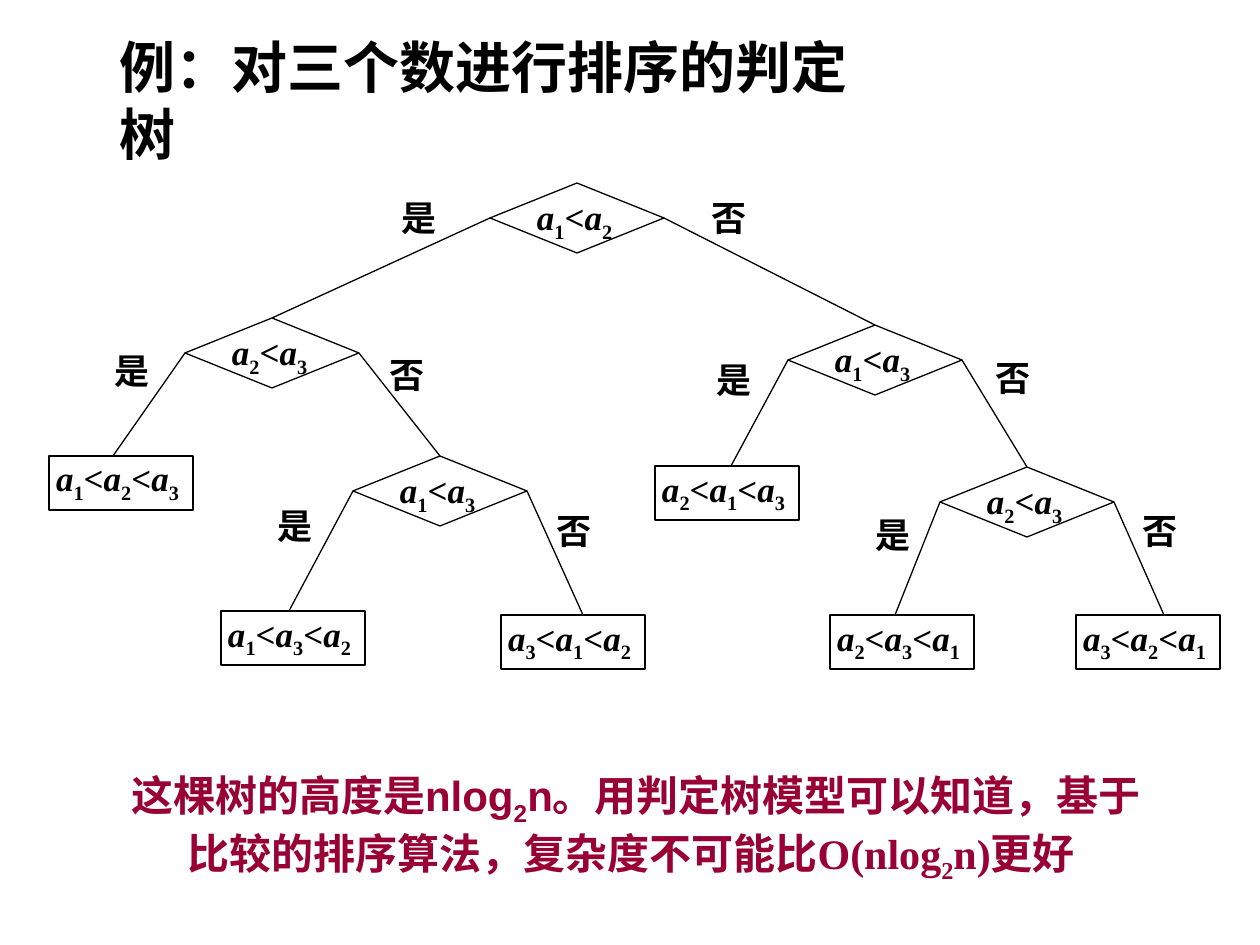
from pptx import Presentation
from pptx.dml.color import RGBColor
from pptx.enum.shapes import MSO_CONNECTOR, MSO_SHAPE
from pptx.enum.text import MSO_ANCHOR, MSO_AUTO_SIZE, PP_ALIGN
from pptx.oxml.ns import qn
from pptx.util import Emu, Pt
from lxml import etree

BLACK = RGBColor(0x00, 0x00, 0x00)
WINE = RGBColor(0x99, 0x00, 0x33)
SERIF, SANS = "Times New Roman", "Arial"
RECT, DIAMOND = MSO_SHAPE.RECTANGLE, MSO_SHAPE.DIAMOND
LINE = MSO_CONNECTOR.STRAIGHT
TOP = MSO_ANCHOR.TOP
GROW, FIXED = MSO_AUTO_SIZE.SHAPE_TO_FIT_TEXT, MSO_AUTO_SIZE.NONE
LEFT, CENTER, JUST = PP_ALIGN.LEFT, PP_ALIGN.CENTER, PP_ALIGN.JUSTIFY
SCALE = 914400 / 126
SIDE = {"是": 1, "否": 3}

# Decision nodes: name -> (left, top, test)
TESTS = {
    "root": (490, 183, "a1<a2"),
    "yes": (185, 318, "a2<a3"),
    "no": (788, 325, "a1<a3"),
    "yes no": (353, 456, "a1<a3"),
    "no no": (940, 467, "a2<a3"),
}

# Result boxes: name -> (left, top, order)
LEAVES = {
    "yes yes": (49, 456, "a1<a2<a3"),
    "no yes": (655, 466, "a2<a1<a3"),
    "yes no yes": (221, 611, "a1<a3<a2"),
    "yes no no": (501, 615, "a3<a1<a2"),
    "no no yes": (830, 615, "a2<a3<a1"),
    "no no no": (1076, 615, "a3<a2<a1"),
}

# Branches: parent, answer, answer position, child, x where it meets a result box
EDGES = [
    ("root", "是", (401, 205), "yes", None),
    ("root", "否", (712, 205), "no", None),
    ("yes", "是", (115, 358), "yes yes", 113),
    ("yes", "否", (389, 362), "yes no", None),
    ("no", "是", (716, 367), "no yes", 731),
    ("no", "否", (995, 365), "no no", None),
    ("yes no", "是", (278, 513), "yes no yes", 289),
    ("yes no", "否", (557, 518), "yes no no", 583),
    ("no no", "是", (876, 522), "no no yes", 895),
    ("no no", "否", (1143, 518), "no no no", 1164),
]


def px(n):
    return Emu(round(n * SCALE))


def write(frame, runs, size=20, font=SERIF, color=BLACK, align=JUST,
          space=None, inset=(0, 0, 0, 0), wrap=True, fit=FIXED):
    """Fill a frame with (text, changes) runs; changes may hold font, italic, sub."""
    (frame.margin_left, frame.margin_top,
     frame.margin_right, frame.margin_bottom) = map(px, inset)
    frame.word_wrap, frame.auto_size = wrap, fit
    frame.vertical_anchor = TOP
    para = frame.paragraphs[0]
    para.alignment, para.line_spacing = align, space
    for text, look in runs:
        run = para.add_run()
        run.text = text
        run.font.size, run.font.bold = Pt(size), True
        run.font.name = look.get("font", font)
        run.font.italic = look.get("italic", False)
        run.font.color.rgb = color
        if look.get("sub"):
            run.font._element.set("baseline", "-25000")


def terms(text):
    """Variables go italic, their indices go below the line."""
    return [(c, {"italic": c == "a", "sub": c.isdigit()}) for c in text]


class Deck:
    def __init__(self):
        self.prs = Presentation()
        self.prs.slide_width, self.prs.slide_height = px(1260), px(945)
        self.slide = self.prs.slides.add_slide(self.prs.slide_layouts[6])
        self.shapes = self.slide.shapes

    def text(self, x, y, w, h, runs, **look):
        box = self.shapes.add_textbox(px(x), px(y), px(w), px(h))
        write(box.text_frame, runs, **look)

    def shape(self, kind, x, y, w, h):
        item = self.shapes.add_shape(kind, px(x), px(y), px(w), px(h))
        item.shadow.inherit = False
        item.fill.background()
        item.line.color.rgb, item.line.width = BLACK, Pt(0.75)
        return item

    def test(self, x, y, text):
        item = self.shape(DIAMOND, x, y, 174, 70)
        self.text(x + 47, y + 17, 78, 35, terms(text), space=0.8)
        return item

    def leaf(self, x, y, text):
        item = self.shape(RECT, x, y, 144, 54)
        write(item.text_frame, terms(text), space=0.96, inset=(7, 1, 3, 1))
        return item

    def edge(self, start, side, end, x=None):
        """Join a side to the child's top middle, or to x on its top edge."""
        stop = px(x) if x else end.left
        line = self.shapes.add_connector(LINE, 0, 0, stop, end.top)
        line.begin_connect(start, side)
        if x is None:
            line.end_connect(end, 0)
        line.line.color.rgb, line.line.width = BLACK, Pt(0.75)
        etree.SubElement(line._element.spPr, qn("a:effectLst"))


def main():
    deck = Deck()

    # Title
    pad = (13, 6, 13, 6)
    deck.text(106, 26, 810, 81, [("例：对三个数进行排序的判定树", {})], size=32,
              font=SANS, align=LEFT, inset=pad, wrap=False, fit=GROW)

    # Tree nodes
    nodes = {name: deck.test(*node) for name, node in TESTS.items()}
    nodes.update({name: deck.leaf(*node) for name, node in LEAVES.items()})

    # Branches and their answers
    for start, answer, spot, end, x in EDGES:
        deck.edge(nodes[start], SIDE[answer], nodes[end], x)
        deck.text(*spot, 43, 35, [(answer, {})], space=0.8)

    # Conclusion
    sub, sans = {"sub": True}, {"font": SANS}
    deck.text(103, 764, 1066, 127, [
        ("这棵树的高度是", {}), ("nlog", sans), ("2", {**sub, **sans}), ("n。", sans),
        ("用判定树模型可以知道，基于比较的排序算法，复杂度不可能比O(nlog", {}),
        ("2", sub), ("n)更好 ", {}),
    ], size=24, color=WINE, align=CENTER, inset=pad, fit=GROW)

    deck.prs.save("out.pptx")


if __name__ == "__main__":
    main()
